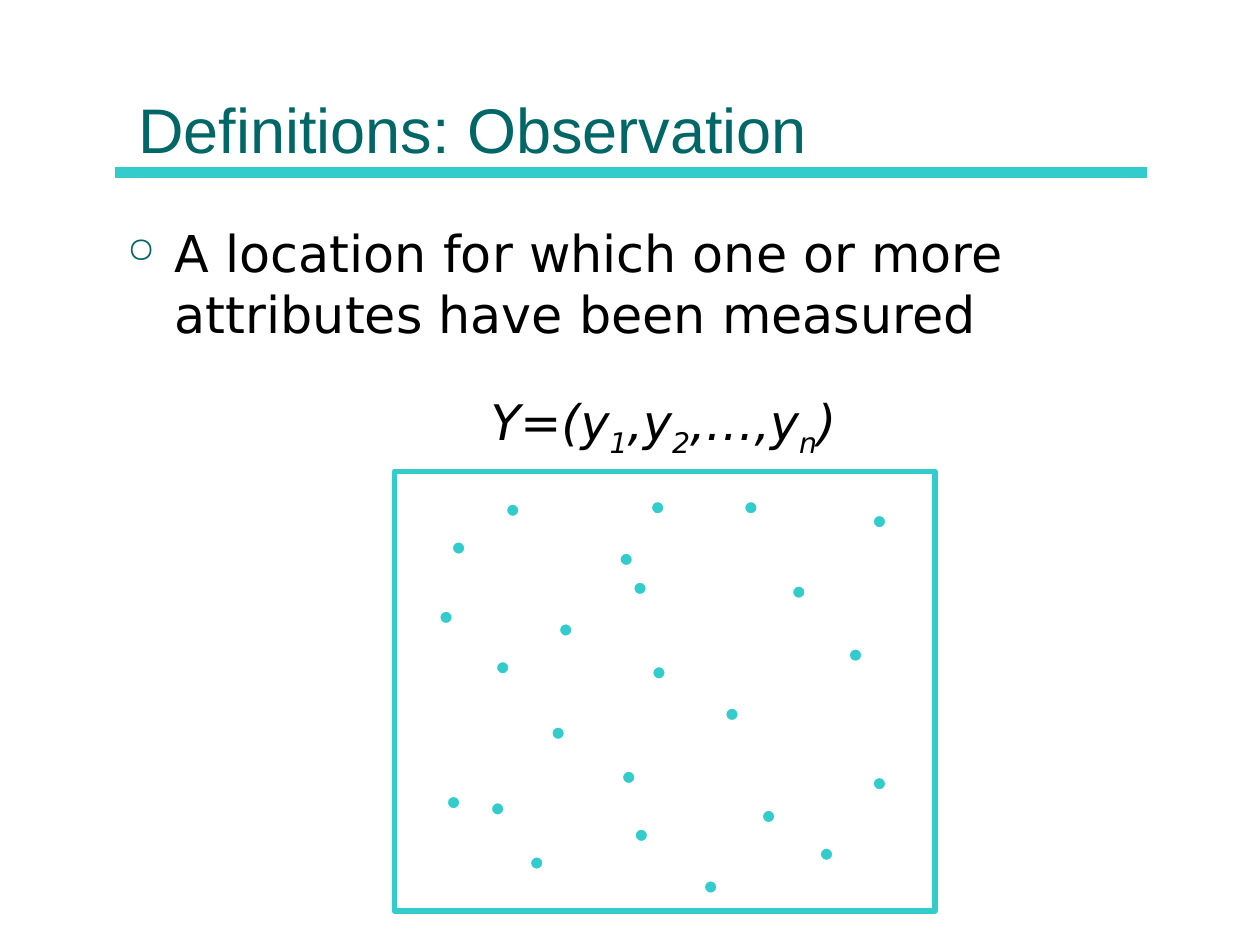
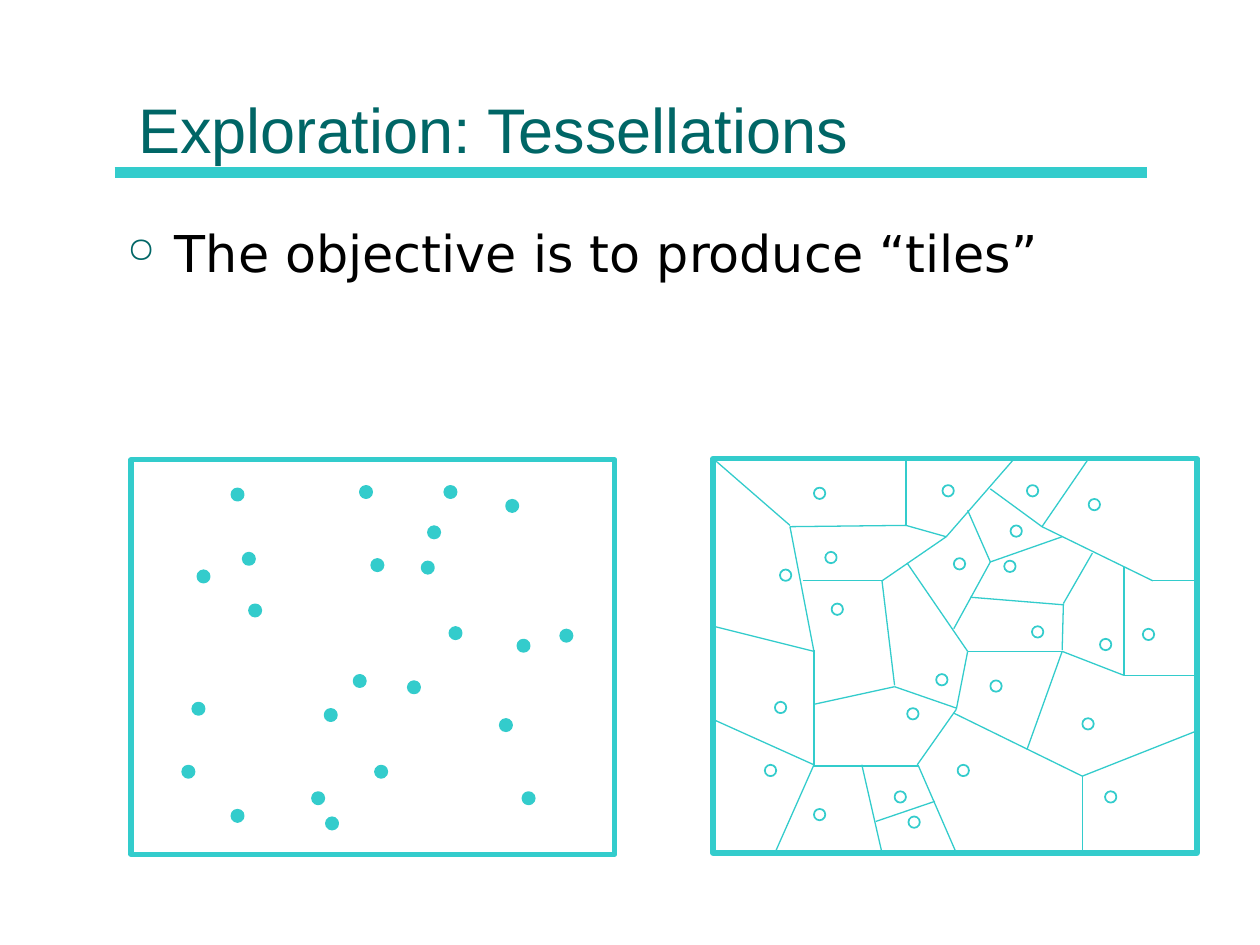
from lxml import etree
from pptx import Presentation
from pptx.dml.color import RGBColor
from pptx.enum import shapes, text
from pptx.oxml import ns
from pptx.util import Inches, Pt

TEAL, AQUA, BLACK, WHITE = "006666", "33CCCC", "000000", "FFFFFF"
TITLE_FONT, BODY_FONT = "Arial", "DejaVu Sans"
OVAL = shapes.MSO_SHAPE.OVAL
RECTANGLE = shapes.MSO_SHAPE.RECTANGLE
STRAIGHT = shapes.MSO_CONNECTOR.STRAIGHT


def draw(group, kind, a, b, c, d, line, width, fill=None):
    """Draw a line from (a, b) to (c, d), or a shape at (a, b) sized (c, d)."""
    lengths = [Inches(value) for value in (a, b, c, d)]
    # Compare by identity: STRAIGHT and RECTANGLE share the same number
    is_line = kind is STRAIGHT
    if is_line:
        shape = group.add_connector(kind, *lengths)
    else:
        shape = group.add_shape(kind, *lengths)
        if fill:
            shape.fill.solid()
            shape.fill.fore_color.rgb = RGBColor.from_string(fill)
        else:
            shape.fill.background()
    shape.line.color.rgb = RGBColor.from_string(line)
    shape.line.width = Pt(width)
    if is_line:
        etree.SubElement(shape._element.spPr, ns.qn("a:effectLst"))
    else:
        shape.shadow.inherit = False


def write(page, words, at, size, font, color):
    """Add a wrapped text box, one run per entry of words; return its frame."""
    box = page.shapes.add_textbox(*[Inches(value) for value in at])
    frame = box.text_frame
    frame.word_wrap = True
    para = frame.paragraphs[0]
    for word in words:
        span = para.add_run()
        span.text = word
        span.font.size = Pt(size)
        span.font.name = font
        span.font.color.rgb = RGBColor.from_string(color)
    return frame


deck = Presentation()
deck.slide_width, deck.slide_height = Inches(10), Inches(7.5)

# Title, rule and bullet on both slides
contents = [
    ("Definitions: Observation",
     "A location for which one or more attributes have been measured"),
    ("Exploration: Tessellations",
     "The objective is to produce “tiles”"),
]
pages = []
for title, bullet in contents:
    page = deck.slides.add_slide(deck.slide_layouts[6])
    pages.append(page)
    draw(page.shapes, STRAIGHT, 0.91, 1.37, 9.1, 1.37, AQUA, 6)
    frame = write(page, [title], (1, 0.12, 8, 1.25), 36, TITLE_FONT, TEAL)
    frame.vertical_anchor = text.MSO_ANCHOR.BOTTOM
    frame = write(page, [bullet], (0.91, 1.71, 8.19, 4.5), 29, BODY_FONT, BLACK)
    props = frame.paragraphs[0]._p.get_or_add_pPr()
    props.set("marL", str(Inches(0.38)))
    props.set("indent", str(-Inches(0.38)))
    bullet_color = etree.SubElement(props, ns.qn("a:buClr"))
    etree.SubElement(bullet_color, ns.qn("a:srgbClr"), val=TEAL)
    etree.SubElement(props, ns.qn("a:buSzPct"), val="70000")
    etree.SubElement(props, ns.qn("a:buChar"), char="○")

observation, tessellation = pages

# Slide 1: formula above a framed field of observations
frame = write(observation, ["Y=(y", "1", ",y", "2", ",…,y", "n", ")"],
              (3.12, 3.06, 4.29, 0.63), 28, BODY_FONT, BLACK)
para = frame.paragraphs[0]
para.alignment = text.PP_ALIGN.CENTER
for index, span in enumerate(para.runs):
    span.font.italic = True
    if index % 2:
        span.font._element.set("baseline", "-25000")

observations = [
    (5.03, 4.62), (5.17, 3.98), (4.02, 4), (6.93, 4.09), (4.92, 4.39),
    (4.94, 6.12), (6.51, 6.73), (6.29, 4.65), (4.44, 4.95), (3.59, 4.3),
    (5.18, 5.29), (3.49, 4.85), (5.59, 6.99), (5.91, 3.98), (4.38, 5.77),
    (6.05, 6.43), (5.76, 5.62), (5.04, 6.58), (6.93, 6.17), (6.74, 5.15),
    (3.94, 5.25), (4.21, 6.8), (3.9, 6.37), (3.55, 6.32),
]
for x, y in observations:
    draw(observation.shapes, OVAL, x, y, 0.1, 0.1, WHITE, 0.75, AQUA)
draw(observation.shapes, RECTANGLE, 3.13, 3.74, 4.29, 3.49, AQUA, 3)

# Slide 2: the same points twice, filled on the left and hollow in the tiles
seeds = [
    (2.59, 6.49), (2.86, 3.86), (1.84, 3.88), (4.45, 5), (2.48, 6.29),
    (4.02, 3.97), (1.98, 4.8), (2.58, 5.63), (3.35, 4.46), (1.53, 5.58),
    (1.93, 4.39), (1.45, 6.08), (3.24, 5.41), (3.53, 3.86), (2.95, 4.44),
    (1.57, 4.53), (3.4, 4.18), (4.11, 5.08), (4.15, 6.29), (2.98, 6.08),
    (1.84, 6.43), (2.81, 5.36), (3.97, 5.71), (3.57, 4.98),
]
tile_edges = [
    (5.66, 5.71, 6.46, 6.07), (6.46, 6.07, 6.15, 6.77), (6.46, 6.07, 6.46, 5.16),
    (6.46, 5.17, 5.66, 4.97), (6.46, 5.17, 6.27, 4.18), (6.27, 4.17, 5.66, 3.64),
    (6.27, 4.18, 7.19, 4.17), (7.19, 4.17, 7.19, 3.64), (6.37, 4.61, 7, 4.61),
    (7, 4.61, 7.51, 4.26), (7.19, 4.17, 7.51, 4.26), (7.51, 4.26, 8.05, 3.64),
    (7.86, 3.88, 8.27, 4.18), (8.27, 4.18, 8.64, 3.64), (8.27, 4.18, 9.15, 4.61),
    (9.15, 4.61, 9.5, 4.61), (7, 4.61, 7.1, 5.44), (7.1, 5.45, 6.46, 5.59),
    (7.1, 5.45, 7.59, 5.62), (7.59, 5.63, 7.28, 6.07), (6.46, 6.08, 7.29, 6.08),
    (7.29, 6.08, 7.59, 6.77), (6.84, 6.07, 7, 6.77), (6.95, 6.52, 7.42, 6.36),
    (7.2, 4.47, 7.68, 5.17), (7.68, 5.17, 7.59, 5.63), (7.57, 5.66, 8.59, 6.16),
    (8.59, 6.16, 9.5, 5.8), (8.59, 6.16, 8.59, 6.77), (7.68, 4.05, 7.86, 4.46),
    (7.86, 4.46, 7.57, 4.99), (7.86, 4.46, 8.43, 4.26), (7.68, 5.17, 8.43, 5.17),
    (7.7, 4.74, 8.44, 4.8), (8.44, 4.79, 8.67, 4.39), (8.44, 4.79, 8.43, 5.16),
    (8.92, 4.5, 8.92, 5.36), (8.43, 5.17, 8.92, 5.36), (8.92, 5.36, 9.5, 5.36),
    (8.15, 5.95, 8.43, 5.17),
]
left, top = 1.04, 3.65
panels = [(left, top, 1.5, AQUA, []), (5.66, 3.64, 1, None, tile_edges)]
for panel_left, panel_top, outline, fill, edges in panels:
    group = tessellation.shapes.add_group_shape().shapes
    for x, y in seeds:
        draw(group, OVAL, x + panel_left - left, y + panel_top - top,
             0.09, 0.09, AQUA, outline, fill)
    for edge in edges:
        draw(group, STRAIGHT, *edge, AQUA, 0.75)
    draw(group, RECTANGLE, panel_left, panel_top, 3.84, 3.13, AQUA, 3)

deck.save("out.pptx")
